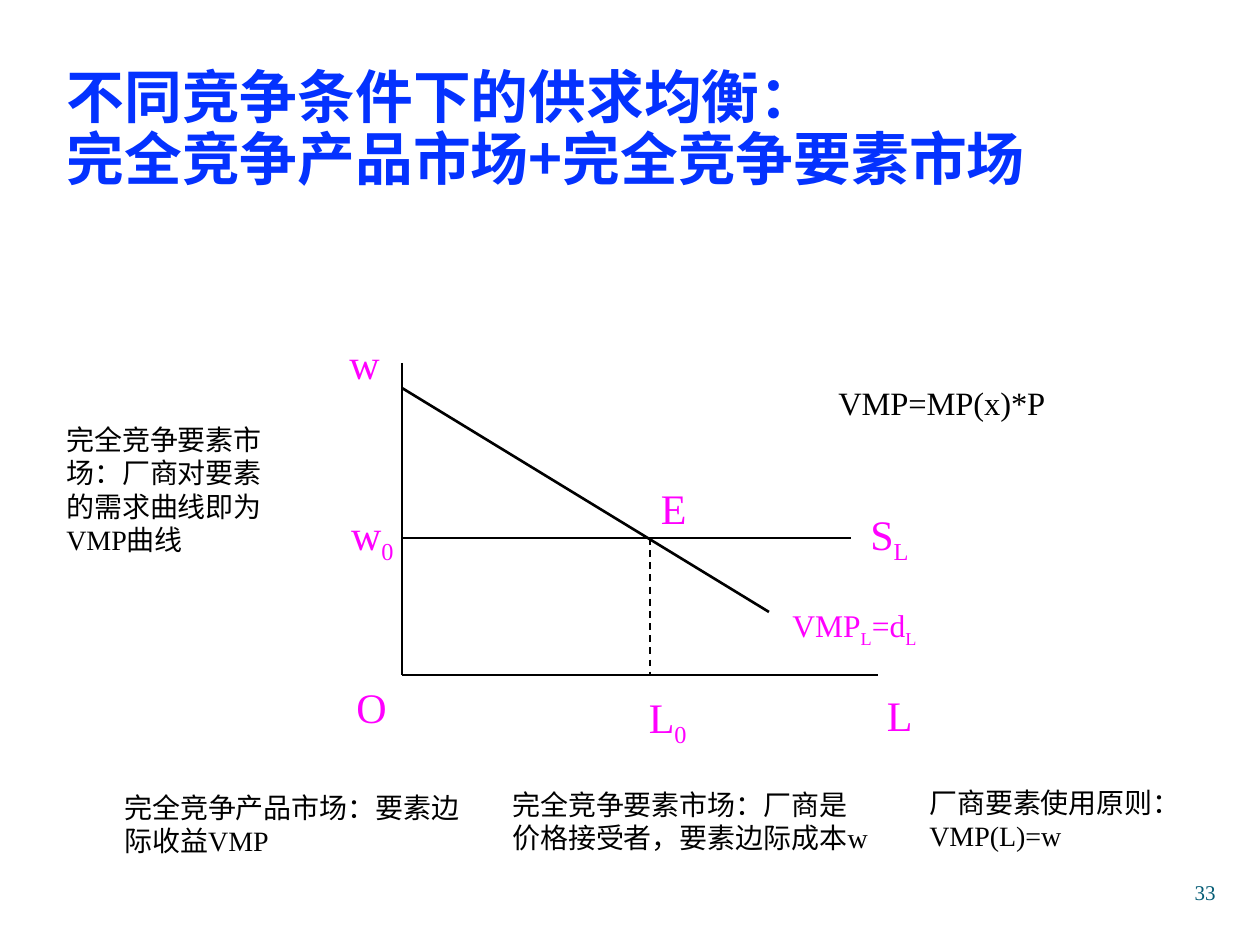
"""Build the slide on factor market equilibrium under perfect competition."""
from dataclasses import dataclass

from lxml.etree import SubElement
from pptx import Presentation
from pptx.dml.color import RGBColor
from pptx.enum.dml import MSO_LINE_DASH_STYLE as Dash
from pptx.enum.shapes import MSO_CONNECTOR as Connector
from pptx.enum.text import MSO_ANCHOR as Anchor, MSO_AUTO_SIZE as AutoSize, PP_ALIGN as Align
from pptx.oxml.ns import qn
from pptx.slide import Slide
from pptx.text.text import _Run as Run
from pptx.util import Emu, Pt

EMU_PER_PX = 914400 // 126
LATIN_FONT = "Times New Roman"
CHINESE_FONT = "Noto Sans CJK SC"
COLORS = {"title": "0432FF", "label": "FF00FF", "ink": "000000", "number": "045C75"}
ORIGIN_X, ORIGIN_Y = 402, 675
WAGE_Y, EQUILIBRIUM_X = 538, 650


@dataclass(frozen=True)
class Label:
    """Text box whose segments after each odd underscore are subscripts."""
    text: str
    left: int
    top: int
    width: int
    height: int
    size: int = 24
    color: str = "label"
    align: Align = Align.RIGHT
    anchor: Anchor = Anchor.TOP


@dataclass(frozen=True)
class Segment:
    """Straight line of the diagram."""
    start: tuple[int, int]
    end: tuple[int, int]
    weight: float = 1.5
    dashed: bool = False


SEGMENTS = (
    Segment((ORIGIN_X, 363), (ORIGIN_X, ORIGIN_Y)),
    Segment((ORIGIN_X, ORIGIN_Y), (878, ORIGIN_Y)),
    Segment((ORIGIN_X, WAGE_Y), (851, WAGE_Y)),
    Segment((ORIGIN_X, 388), (769, 612)),
    Segment((EQUILIBRIUM_X, WAGE_Y), (EQUILIBRIUM_X, ORIGIN_Y), 1, True),
)
LABELS = (
    Label("w", 333, 331, 59, 63),
    Label("w_0", 323, 502, 83, 71),
    Label("L", 866, 683, 59, 63),
    Label("O", 340, 675, 59, 63),
    Label("L_0", 626, 685, 73, 71),
    Label("E", 640, 476, 59, 63),
    Label("S_L", 848, 502, 73, 71),
    Label("VMP_L_=d_L", 766, 600, 163, 55, size=18),
    Label("33", 966, 861, 262, 63, 12, "number", anchor=Anchor.MIDDLE),
    Label("_VMP=MP(x)*P", 826, 339, 290, 89, 32, "ink", Align.LEFT),
)
NOTES = (
    ("完全竞争产品市场：要素边际收益VMP", 112, 784, 387, 81),
    ("完全竞争要素市场：厂商是价格接受者，要素边际成本w", 500, 781, 387, 81),
    ("完全竞争要素市场：厂商对要素的需求曲线即为VMP曲线", 54, 416, 238, 147),
    ("厂商要素使用原则：VMP(L)=w", 917, 779, 387, 81),
)


def px(value: int) -> Emu:
    """Turn pixels into EMU."""
    return Emu(value * EMU_PER_PX)


def format_run(run: Run, size: int, color: str, latin: str = LATIN_FONT) -> None:
    """Set the size, colour and both fonts of a run."""
    run.font.size = Pt(size)
    run.font.color.rgb = RGBColor.from_string(COLORS[color])
    run.font.name = latin
    SubElement(run.font._element, qn("a:ea"), typeface=CHINESE_FONT)


def add_title(slide: Slide, text: str) -> None:
    """Move, fill and format the title placeholder."""
    title = slide.shapes.title
    title.left, title.top, title.width, title.height = map(px, (54, 52, 1071, 157))
    frame = title.text_frame
    frame.text = text
    frame.auto_size = AutoSize.NONE
    frame.vertical_anchor = Anchor.MIDDLE
    paragraph = frame.paragraphs[0]
    paragraph.alignment = Align.LEFT
    paragraph.line_spacing = 0.9
    for run in paragraph.runs:
        format_run(run, 33, "title", CHINESE_FONT)
        run.font.bold = True


def add_segment(slide: Slide, segment: Segment) -> None:
    """Draw one line without a shadow."""
    ends = map(px, segment.start + segment.end)
    connector = slide.shapes.add_connector(Connector.STRAIGHT, *ends)
    connector.line.color.rgb = RGBColor.from_string(COLORS["ink"])
    connector.line.width = Pt(segment.weight)
    if segment.dashed:
        connector.line.dash_style = Dash.DASH
    SubElement(connector._element.spPr, qn("a:effectLst"))


def add_label(slide: Slide, label: Label) -> None:
    """Write one text box with its subscripts."""
    bounds = map(px, (label.left, label.top, label.width, label.height))
    frame = slide.shapes.add_textbox(*bounds).text_frame
    frame.word_wrap = True
    frame.vertical_anchor = label.anchor
    paragraph = frame.paragraphs[0]
    paragraph.alignment = label.align
    for index, part in enumerate(label.text.split("_")):
        if not part:
            continue
        run = paragraph.add_run()
        run.text = part
        format_run(run, label.size, label.color)
        if index % 2:
            run.font._element.set("baseline", "-25000")


def main() -> None:
    """Build and save the presentation."""
    presentation = Presentation()
    presentation.slide_width, presentation.slide_height = px(1260), px(945)
    slide = presentation.slides.add_slide(presentation.slide_layouts[5])
    add_title(slide, "不同竞争条件下的供求均衡：\v完全竞争产品市场+完全竞争要素市场")
    for segment in SEGMENTS:
        add_segment(slide, segment)
    for label in LABELS:
        add_label(slide, label)
    for note in NOTES:
        add_label(slide, Label(*note, size=16, color="ink", align=Align.LEFT))
    presentation.save("out.pptx")


if __name__ == "__main__":
    main()
